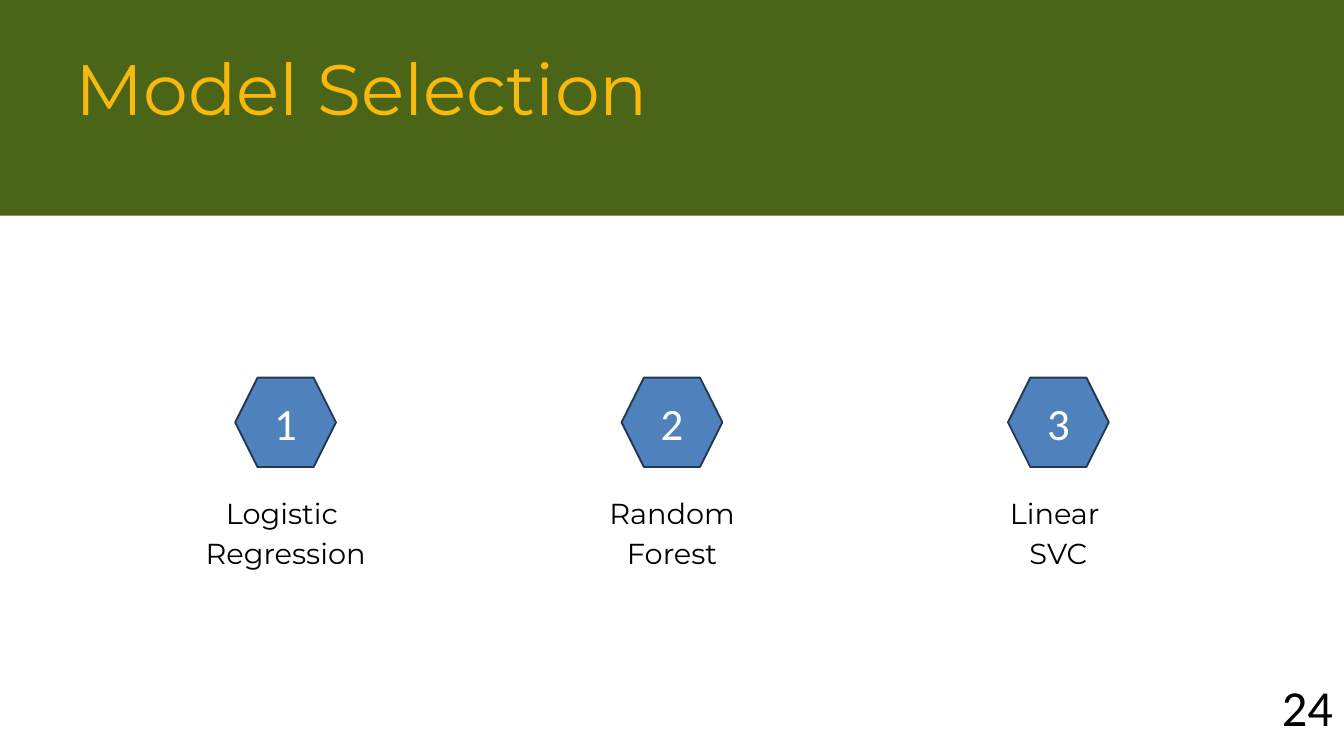
from pptx import Presentation
from pptx import util as u
from pptx.dml.color import RGBColor
from pptx.enum import shapes, text

GREEN = RGBColor(0x4A, 0x64, 0x18)
GOLD = RGBColor(0xF9, 0xB8, 0x0C)
BLUE = RGBColor(0x4F, 0x81, 0xBD)
NAVY = RGBColor(0x23, 0x39, 0x53)
WHITE = RGBColor(0xFF, 0xFF, 0xFF)
BLACK = RGBColor(0, 0, 0)

MODELS = [("Logistic ", "Regression"), ("Random", "Forest"), ("Linear ", "SVC")]


def inch(*box):
    return [u.Inches(v) for v in box]


def write(frame, lines, face, size, color, align, pitch=None):
    for i, line in enumerate(lines):
        para = frame.add_paragraph() if i else frame.paragraphs[0]
        para.text = line
        para.alignment = align
        if pitch:
            para.line_spacing = u.Pt(pitch)
        para.font.name = face
        para.font.size = u.Pt(size)
        para.font.color.rgb = color


def strip(frame):
    frame.margin_left = frame.margin_right = 0
    frame.margin_top = frame.margin_bottom = 0
    frame.word_wrap = True
    frame.auto_size = text.MSO_AUTO_SIZE.NONE
    frame.vertical_anchor = text.MSO_ANCHOR.TOP


def header(slide, x, y, w, h):
    band = slide.shapes.add_shape(shapes.MSO_SHAPE.RECTANGLE, *inch(x, y, w, h))
    band.shadow.inherit = False
    band.fill.solid()
    band.fill.fore_color.rgb = GREEN
    band.line.fill.background()
    title = slide.shapes.title
    band._element.addnext(title._element)
    title.left, title.top, title.width, title.height = inch(
        x + 1.12, y + 0.99, 10.38, 0.97)
    strip(title.text_frame)
    write(title.text_frame, ["Model Selection"], "Montserrat", 76.4, GOLD,
          text.PP_ALIGN.LEFT, 67.2)


def model(slide, x, y, w, num, lines):
    wide = 1.5
    badge = slide.shapes.add_shape(
        shapes.MSO_SHAPE.HEXAGON, *inch(x + (w - wide) / 2, y, wide, 1.33))
    badge.shadow.inherit = False
    badge.fill.solid()
    badge.fill.fore_color.rgb = BLUE
    badge.line.color.rgb = NAVY
    badge.line.width = u.Pt(2)
    badge.text_frame.vertical_anchor = text.MSO_ANCHOR.MIDDLE
    write(badge.text_frame, [str(num)], "Calibri", 48, WHITE,
          text.PP_ALIGN.CENTER)
    label = slide.shapes.add_textbox(*inch(x, y + 1.67, w, 1.16))
    strip(label.text_frame)
    write(label.text_frame, lines, "Montserrat", 30.9, BLACK,
          text.PP_ALIGN.CENTER, 43.2)


def models(slide, x, y, w):
    pitch = 5.75
    wide = w - pitch * (len(MODELS) - 1)
    for i, lines in enumerate(MODELS):
        model(slide, x + i * pitch, y, wide, i + 1, lines)


def number(slide, x, y, w, h):
    box = slide.shapes.add_textbox(*inch(x, y, w, h))
    box.text_frame.word_wrap = False
    write(box.text_frame, ["24"], "Calibri", 54, BLACK, text.PP_ALIGN.CENTER)


def main():
    deck = Presentation()
    deck.slide_width, deck.slide_height = inch(20, 11.25)
    slide = deck.slides.add_slide(deck.slide_layouts.get_by_name("Title Only"))
    header(slide, 0, 0, 20, 3.21)
    models(slide, 1.89, 5.62, 16.22)
    number(slide, 18.97, 10.01, 0.97, 1.01)
    deck.save("out.pptx")


if __name__ == "__main__":
    main()
